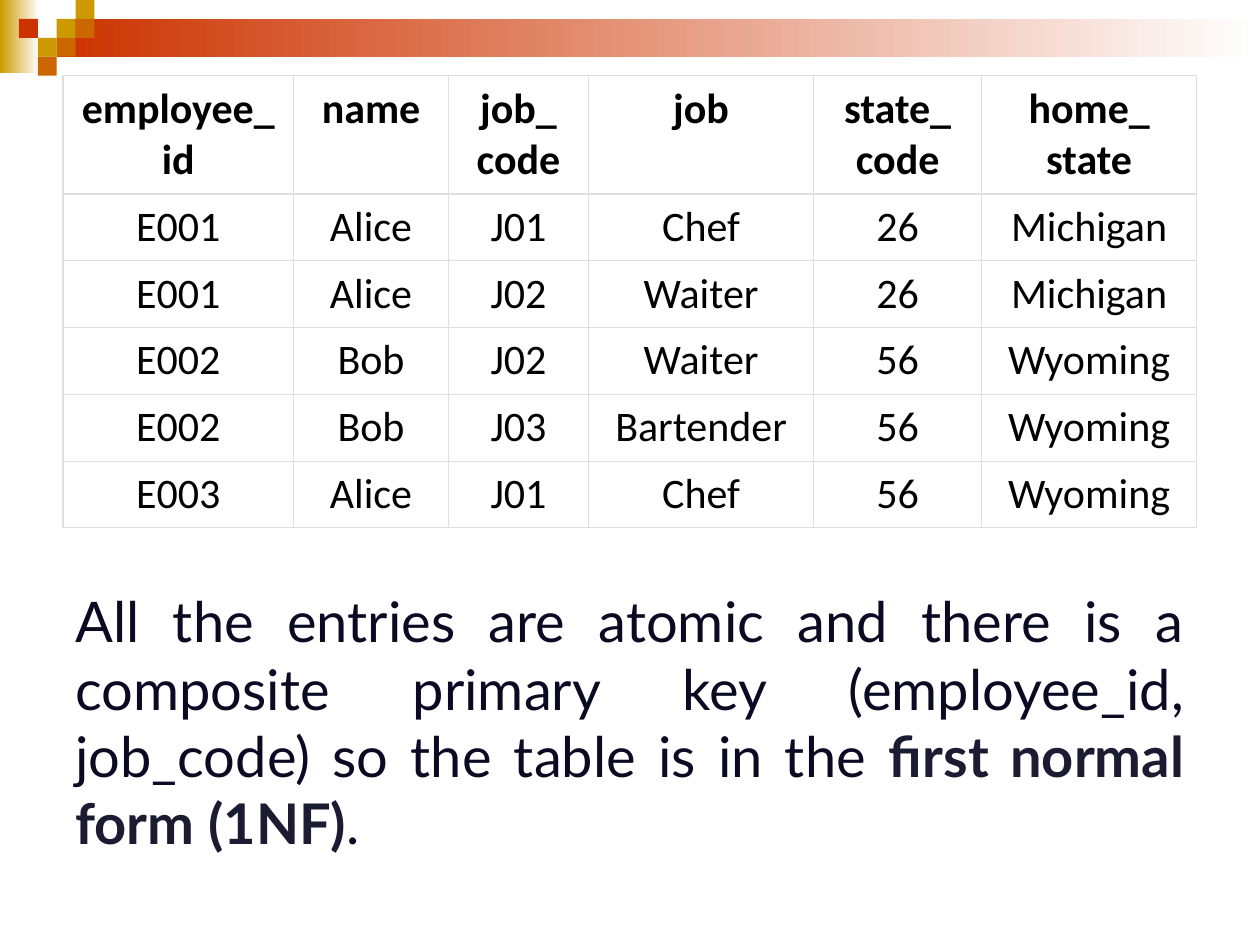
from lxml import etree
from pptx import Presentation
from pptx.dml.color import RGBColor
from pptx.enum.shapes import MSO_SHAPE
from pptx.enum.text import MSO_AUTO_SIZE, PP_ALIGN
from pptx.oxml.ns import qn
from pptx.util import Inches, Pt

RECTANGLE = MSO_SHAPE.RECTANGLE
CENTER, JUSTIFY = PP_ALIGN.CENTER, PP_ALIGN.JUSTIFY
GROW = MSO_AUTO_SIZE.SHAPE_TO_FIT_TEXT

GOLD, RED, ORANGE, WHITE, BLACK = "CC9900", "CC3300", "CC6600", "FFFFFF", "000000"
BORDER, NAVY, DARK_NAVY = "DFDFE2", "0A0A23", "1B1B32"

BANDS = [(0, 0, 0.31, 0.58, GOLD), (0.45, 0.15, 9.55, 0.3, RED)]
TILE = 0.15
TILES = [(3, 1, GOLD), (4, 0, GOLD), (4, 1, ORANGE), (2, 2, GOLD),
         (1, 1, RED), (3, 2, ORANGE), (2, 3, ORANGE)]

ROWS = [
    ("employee_id", "name", "job_\ncode", "job", "state_\ncode", "home_\nstate"),
    ("E001", "Alice", "J01", "Chef", "26", "Michigan"),
    ("E001", "Alice", "J02", "Waiter", "26", "Michigan"),
    ("E002", "Bob", "J02", "Waiter", "56", "Wyoming"),
    ("E002", "Bob", "J03", "Bartender", "56", "Wyoming"),
    ("E003", "Alice", "J01", "Chef", "56", "Wyoming"),
]
COLUMN_WIDTHS = [1.83, 1.23, 1.11, 1.79, 1.33, 1.71]
HEADER_HEIGHT, ROW_HEIGHT = 0.94, 0.53
MARGIN, TABLE_TOP, NOTE_TOP, NOTE_HEIGHT = 0.5, 0.6, 4.61, 2.26

NOTE = [
    ("All the entries are atomic and there is a composite primary key "
     "(employee_id, job_code) so the table is in the ", NAVY, False),
    ("first normal form (1NF)", DARK_NAVY, True),
    (".", NAVY, False),
]


def color(value):
    return RGBColor.from_string(value)


def add_rectangle(slide, left, top, width, height, start, end=None):
    shape = slide.shapes.add_shape(
        RECTANGLE, Inches(left), Inches(top), Inches(width), Inches(height))
    shape.shadow.inherit = False
    shape.line.fill.background()
    if end:
        shape.fill.gradient()
        shape.fill.gradient_angle = 0
        for stop, value, position in zip(shape.fill.gradient_stops, (start, end), (0, 1)):
            stop.color.rgb = color(value)
            stop.position = position
    else:
        shape.fill.solid()
        shape.fill.fore_color.rgb = color(start)


def add_borders(cell):
    properties = cell._tc.get_or_add_tcPr()
    for side in ("a:lnL", "a:lnR", "a:lnT", "a:lnB"):
        line = etree.SubElement(properties, qn(side), w=str(Pt(0.75)))
        fill = etree.SubElement(line, qn("a:solidFill"))
        etree.SubElement(fill, qn("a:srgbClr"), val=BORDER)


def fill_cell(cell, text, bold):
    add_borders(cell)
    cell.fill.background()
    cell.margin_left = cell.margin_right = Inches(0.12)
    cell.margin_top = cell.margin_bottom = Inches(0.06)
    cell.text = text
    for paragraph in cell.text_frame.paragraphs:
        paragraph.alignment = CENTER
        paragraph.font.name = "Calibri"
        paragraph.font.size = Pt(24)
        paragraph.font.bold = bold
        paragraph.font.color.rgb = color(BLACK)


def add_employee_table(slide):
    heights = [HEADER_HEIGHT] + [ROW_HEIGHT] * (len(ROWS) - 1)
    table = slide.shapes.add_table(
        len(ROWS), len(COLUMN_WIDTHS), Inches(MARGIN), Inches(TABLE_TOP),
        Inches(sum(COLUMN_WIDTHS)), Inches(sum(heights))).table
    table.first_row = table.horz_banding = False
    for column, width in zip(table.columns, COLUMN_WIDTHS):
        column.width = Inches(width)
    for row_index, (row, height, texts) in enumerate(zip(table.rows, heights, ROWS)):
        row.height = Inches(height)
        for cell, text in zip(row.cells, texts):
            fill_cell(cell, text, row_index == 0)


def add_note(slide):
    box = slide.shapes.add_textbox(
        Inches(MARGIN), Inches(NOTE_TOP), Inches(sum(COLUMN_WIDTHS)), Inches(NOTE_HEIGHT))
    frame = box.text_frame
    frame.word_wrap = True
    frame.auto_size = GROW
    paragraph = frame.paragraphs[0]
    paragraph.alignment = JUSTIFY
    paragraph.font.name = "Lato"
    paragraph.font.size = Pt(32)
    for text, value, bold in NOTE:
        run = paragraph.add_run()
        run.text = text
        run.font.bold = bold
        run.font.color.rgb = color(value)


def main():
    presentation = Presentation()
    presentation.slide_width, presentation.slide_height = Inches(10), Inches(7.5)
    slide = presentation.slides.add_slide(presentation.slide_layouts[6])
    for left, top, width, height, start in BANDS:
        add_rectangle(slide, left, top, width, height, start, WHITE)
    for column, row, value in TILES:
        add_rectangle(slide, column * TILE, row * TILE, TILE, TILE, value)
    add_employee_table(slide)
    add_note(slide)
    presentation.save("out.pptx")


if __name__ == "__main__":
    main()
